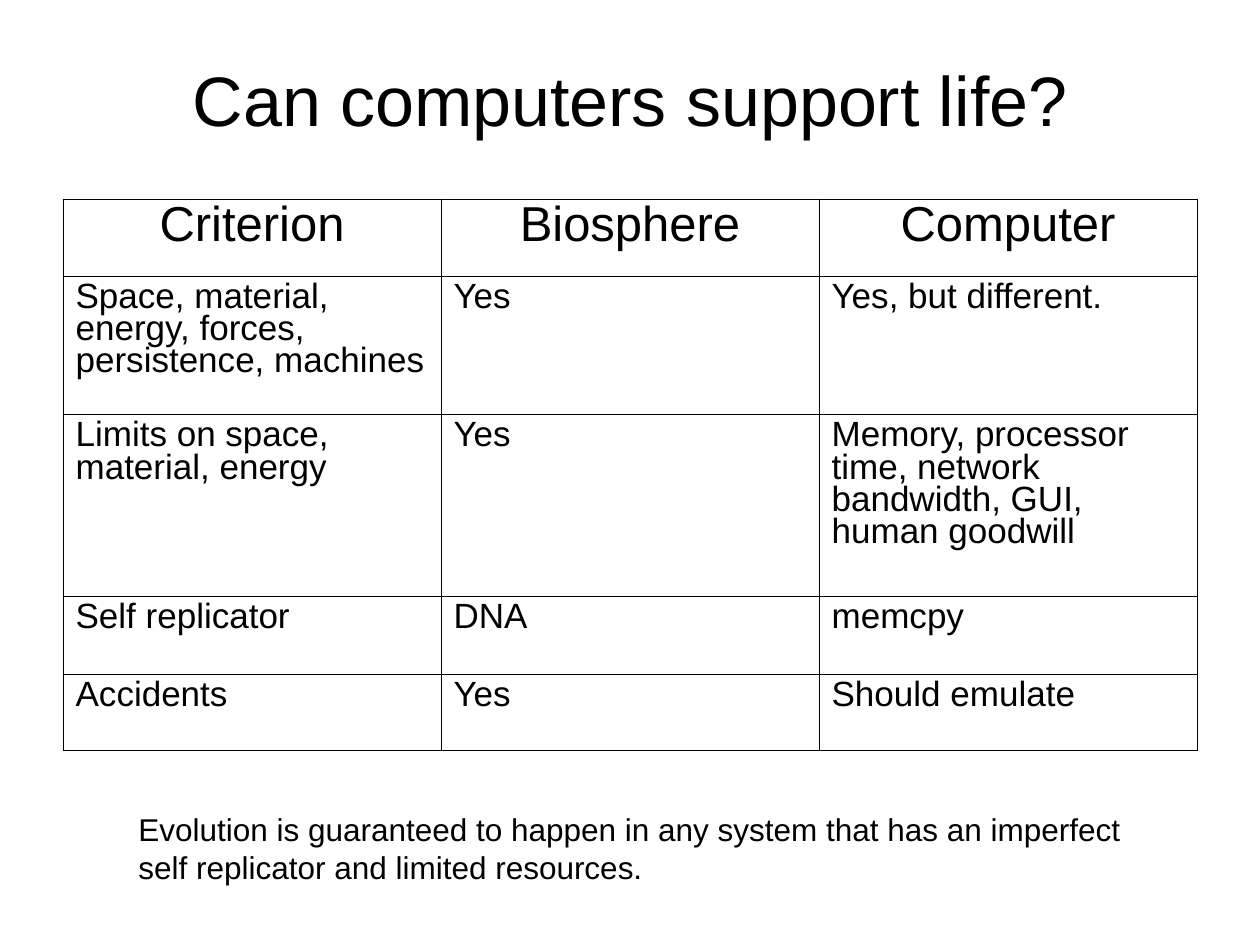
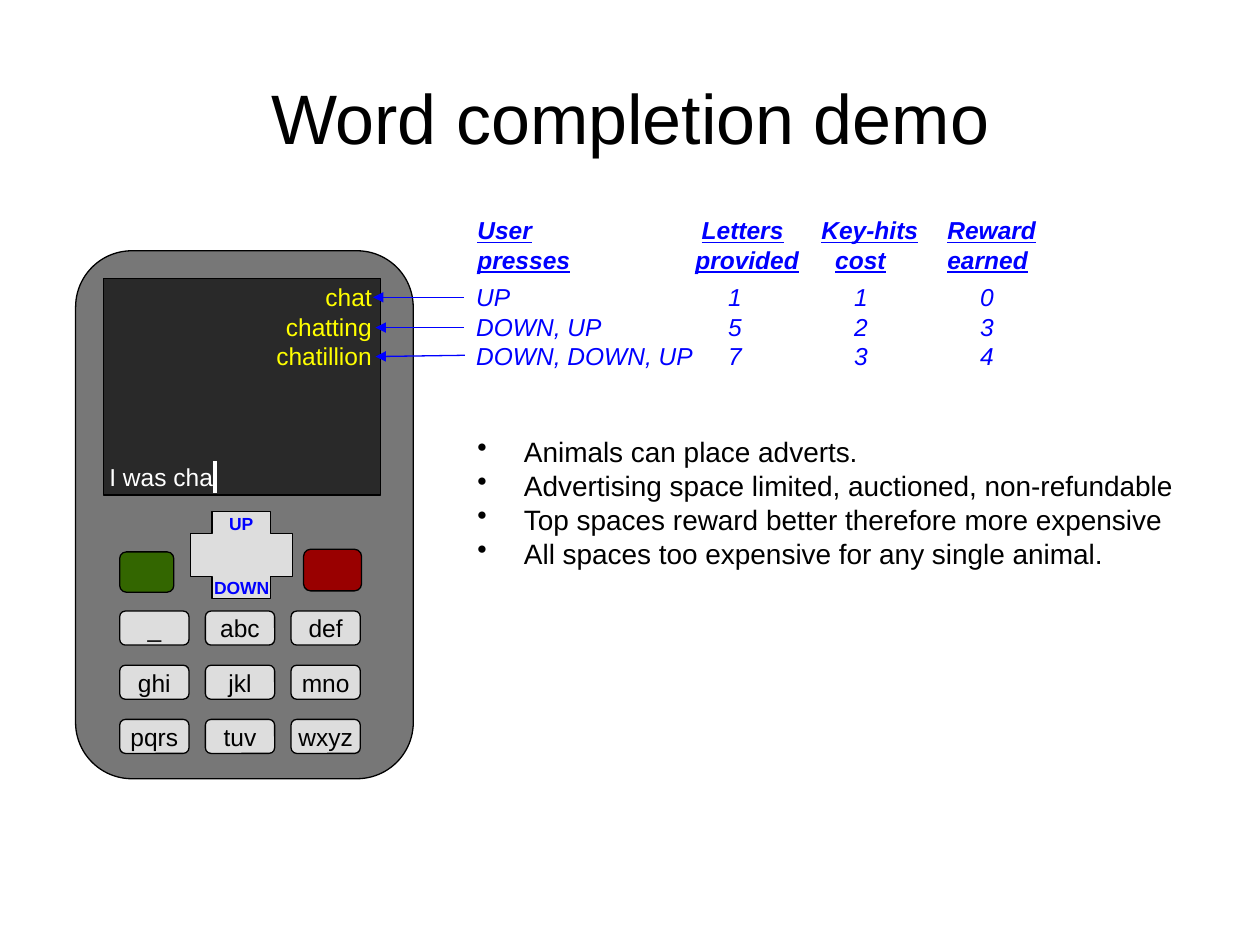
"""Build two slides: a table on digital life and a word completion demo."""
from dataclasses import dataclass
from itertools import product

from lxml import etree
from pptx import Presentation
from pptx.dml.color import RGBColor
from pptx.enum import shapes, text
from pptx.oxml.ns import qn
from pptx.util import Emu, Pt

PX = 9144
FONT = "Arial"
COLORS = {
    "black": "000000", "white": "FFFFFF", "body": "777777", "screen": "292929",
    "key": "DDDDDD", "call": "336600", "end": "990000", "blue": "0000FF",
    "yellow": "FFFF00",
}
LEFT, MID, RIGHT = text.PP_ALIGN.LEFT, text.PP_ALIGN.CENTER, text.PP_ALIGN.RIGHT
ROUND = shapes.MSO_SHAPE.FLOWCHART_ALTERNATE_PROCESS
RECT, PLUS = shapes.MSO_SHAPE.RECTANGLE, shapes.MSO_SHAPE.CROSS


@dataclass(frozen=True)
class Box:
    x: int
    y: int
    w: int
    h: int


@dataclass(frozen=True)
class Style:
    size: int
    color: str = "black"
    align: int = LEFT
    bold: bool = False
    slant: bool = False
    line: float = 1.0
    gap: float = 0
    bullet: int = 0


@dataclass(frozen=True)
class Part:
    kind: int
    box: Box
    fill: str


@dataclass(frozen=True)
class Label:
    box: Box
    lines: tuple[str, ...]
    style: Style


@dataclass(frozen=True)
class Stroke:
    start: tuple[int, int]
    end: tuple[int, int]
    color: str
    width: float
    arrow: bool = False


TITLE = Style(40, align=MID)
HEAD = Style(28, align=MID, line=0.83)
CELL = Style(20, line=0.83)
NOTE = Style(18)
KEY = Style(14, align=MID)
TYPED = Style(14, "white")
OFFER = Style(14, "yellow", RIGHT)
PAD = Style(10, "blue", bold=True)
SCORE = Style(14, "blue", slant=True)
TOP = Style(14, "blue", bold=True, slant=True)
POINT = Style(16, line=0.8, gap=4, bullet=37)

ROWS = (
    ("Criterion", "Biosphere", "Computer"),
    ("Space, material, energy, forces, persistence, machines", "Yes",
     "Yes, but different."),
    ("Limits on space, material, energy", "Yes",
     "Memory, processor time, network bandwidth, GUI, human goodwill"),
    ("Self replicator", "DNA", "memcpy"),
    ("Accidents", "Yes", "Should emulate"),
)
HEIGHTS = (61, 110, 144, 62, 61)
KEYS = ("_", "abc", "def", "ghi", "jkl", "mno", "pqrs", "tuv", "wxyz")
PHONE = (
    Part(ROUND, Box(60, 199, 268, 419), "body"),
    Part(RECT, Box(82, 221, 220, 172), "screen"),
    Part(PLUS, Box(151, 406, 81, 69), "key"),
    Part(ROUND, Box(95, 438, 43, 32), "call"),
    Part(ROUND, Box(241, 436, 46, 33), "end"),
)
LABELS = (
    Label(Box(77, 362, 110, 34), ("I was cha",), TYPED),
    Label(Box(142, 219, 163, 104), ("chat", "chatting", "chatillion"), OFFER),
    Label(Box(172, 402, 59, 27), ("UP",), PAD),
    Label(Box(160, 453, 92, 27), ("DOWN",), PAD),
    Label(Box(369, 345, 599, 149), (
        "Animals can place adverts.",
        "Advertising space limited, auctioned, non-refundable",
        "Top spaces reward better therefore more expensive",
        "All spaces too expensive for any single animal.",
    ), POINT),
)
SCORES = Label(Box(368, 219, 615, 104), (
    "UP\t1\t1\t0", "DOWN, UP\t5\t2\t3", "DOWN, DOWN, UP\t7\t3\t4"), SCORE)
HEADS = Label(Box(369, 166, 588, 57), (
    "User\tLetters\tKey-hits\tReward", "presses\tprovided\tcost\tearned"), TOP)
SCORE_TABS = ((200, 300, 400),) * 3
HEAD_TABS = ((178, 273, 373), (173, 284, 373))
STROKES = (
    Stroke((368, 236), (296, 236), "blue", 0.75, True),
    Stroke((368, 260), (298, 260), "blue", 0.75, True),
    Stroke((369, 282), (298, 283), "blue", 0.75, True),
    Stroke((171, 366), (171, 391), "white", 2.25),
)


def px(size: int) -> Emu:
    return Emu(size * PX)


def place(box: Box) -> tuple[Emu, ...]:
    return px(box.x), px(box.y), px(box.w), px(box.h)


def tint(name: str) -> RGBColor:
    return RGBColor.from_string(COLORS[name])


def dress(para, style: Style, first: bool = True, tabs: tuple[int, ...] = ()) -> None:
    props = para._p.get_or_add_pPr()
    if style.bullet:
        props.set("marL", str(px(style.bullet)))
        props.set("indent", str(-px(style.bullet)))
        etree.SubElement(props, qn("a:buChar"), char="•")
    if tabs:
        stops = etree.SubElement(props, qn("a:tabLst"))
        for stop in tabs:
            etree.SubElement(stops, qn("a:tab"), pos=str(px(stop)), algn="l")
    para.alignment = style.align
    para.line_spacing = style.line
    if style.gap and not first:
        para.space_before = Pt(style.gap)
    font = para.font
    font.name, font.size = FONT, Pt(style.size)
    font.bold, font.italic = style.bold, style.slant
    font.color.rgb = tint(style.color)


def write(slide, label: Label, tabs: tuple = (), under: bool = False,
          anchor: int = text.MSO_ANCHOR.TOP) -> None:
    frame = slide.shapes.add_textbox(*place(label.box)).text_frame
    frame.word_wrap = True
    frame.vertical_anchor = anchor
    for i, line in enumerate(label.lines):
        para = frame.paragraphs[0] if i == 0 else frame.add_paragraph()
        dress(para, label.style, i == 0, tabs[i] if tabs else ())
        for j, word in enumerate(line.split("\t")):
            if j:
                para.add_run().text = "\t"
            run = para.add_run()
            run.text = word
            if under:
                run.font.underline = True


def head(slide, words: str, height: int) -> None:
    write(slide, Label(Box(50, 30, 900, height), (words,), TITLE),
          anchor=text.MSO_ANCHOR.MIDDLE)


def draw(slide, part: Part):
    shape = slide.shapes.add_shape(part.kind, *place(part.box))
    shape.shadow.inherit = False
    shape.fill.solid()
    shape.fill.fore_color.rgb = tint(part.fill)
    shape.line.color.rgb = tint("black")
    shape.line.width = Pt(0.75)
    return shape


def press(slide, box: Box, name: str) -> None:
    frame = draw(slide, Part(ROUND, box, "key")).text_frame
    frame.margin_left = frame.margin_right = 0
    frame.margin_top = frame.margin_bottom = 0
    frame.word_wrap = False
    frame.vertical_anchor = text.MSO_ANCHOR.MIDDLE
    frame.text = name
    dress(frame.paragraphs[0], KEY)


def link(slide, stroke: Stroke) -> None:
    line = slide.shapes.add_connector(
        shapes.MSO_CONNECTOR.STRAIGHT, *map(px, stroke.start + stroke.end))
    line.line.color.rgb = tint(stroke.color)
    line.line.width = Pt(stroke.width)
    if stroke.arrow:
        etree.SubElement(line.line._get_or_add_ln(), qn("a:tailEnd"), type="triangle")
    etree.SubElement(line._element.spPr, qn("a:effectLst"))


def edge(cell, outer: dict[str, bool]) -> None:
    props = cell._tc.get_or_add_tcPr()
    for i, (side, out) in enumerate(outer.items()):
        line = etree.Element(qn(f"a:ln{side}"), w=str(Pt(0.5 if out else 0.23)))
        fill = etree.SubElement(line, qn("a:solidFill"))
        etree.SubElement(fill, qn("a:srgbClr"), val=COLORS["black"])
        props.insert(i, line)


def chart_life(slide) -> None:
    head(slide, "Can computers support life?", 97)
    rows, cols = len(ROWS), len(ROWS[0])
    box = Box(50, 158, 900, sum(HEIGHTS))
    table = slide.shapes.add_table(rows, cols, *place(box)).table
    table.first_row = table.horz_banding = False
    for row, height in zip(table.rows, HEIGHTS):
        row.height = px(height)
    for r, c in product(range(rows), range(cols)):
        cell = table.cell(r, c)
        cell.text = ROWS[r][c]
        cell.fill.background()
        dress(cell.text_frame.paragraphs[0], CELL if r else HEAD)
        edge(cell, {"L": c == 0, "R": c == cols - 1,
                    "T": r == 0, "B": r == rows - 1})
    write(slide, Label(Box(100, 638, 820, 70), (
        "Evolution is guaranteed to happen in any system that has an imperfect",
        "self replicator and limited resources."), NOTE))


def show_phone(slide) -> None:
    head(slide, "Word completion demo", 125)
    for part in PHONE:
        draw(slide, part)
    for i, name in enumerate(KEYS):
        row, col = divmod(i, 3)
        press(slide, Box(95 + 68 * col, 485 + 43 * row, 55, 27), name)
    for label in LABELS:
        write(slide, label)
    write(slide, SCORES, SCORE_TABS)
    write(slide, HEADS, HEAD_TABS, under=True)
    for stroke in STROKES:
        link(slide, stroke)


def main() -> None:
    deck = Presentation()
    deck.slide_width, deck.slide_height = px(1000), px(750)
    for build in (chart_life, show_phone):
        build(deck.slides.add_slide(deck.slide_layouts[6]))
    deck.save("out.pptx")


if __name__ == "__main__":
    main()
